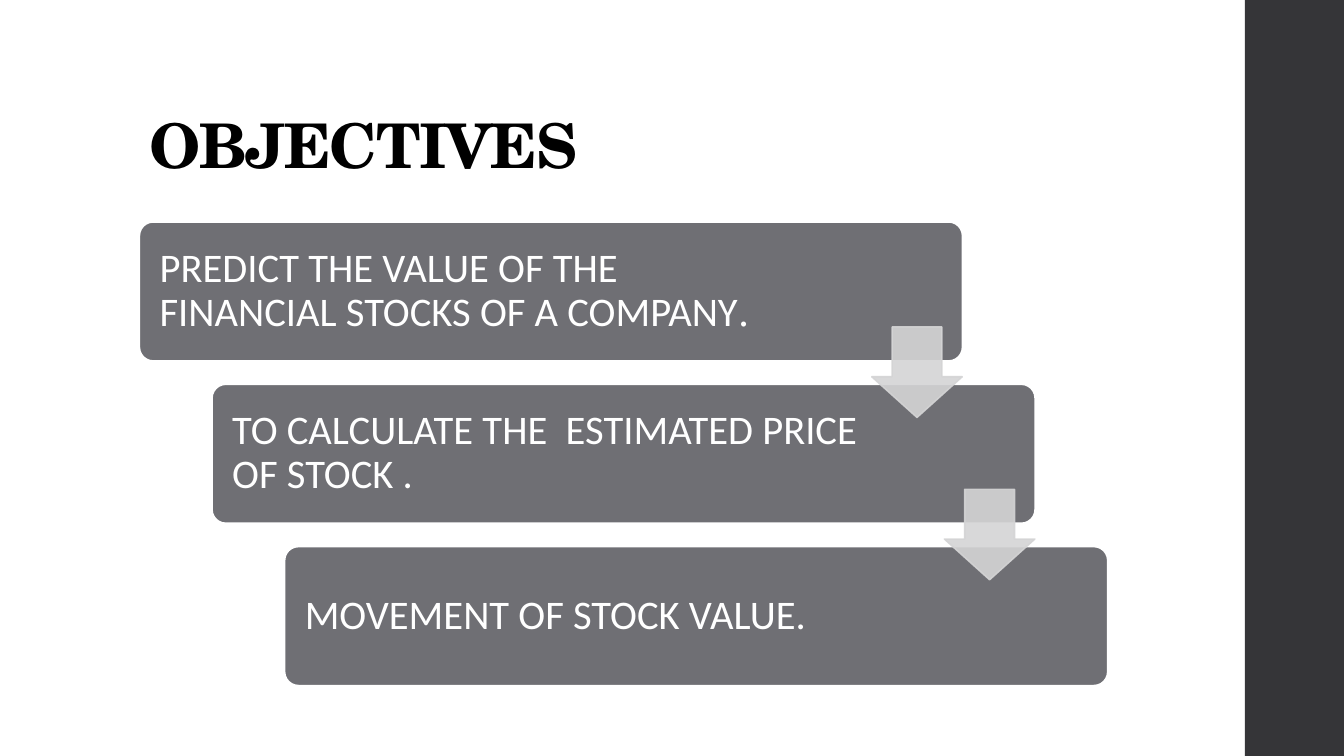
"""Build the objectives slide: three staggered steps joined by down arrows."""
from dataclasses import dataclass

from lxml import etree
from pptx import Presentation
from pptx.dml.color import RGBColor
from pptx.enum.shapes import MSO_SHAPE
from pptx.enum.text import MSO_ANCHOR, MSO_AUTO_SIZE, PP_ALIGN
from pptx.oxml.ns import qn
from pptx.util import Cm, Pt

RECT, ROUNDED, DOWN = MSO_SHAPE.RECTANGLE, MSO_SHAPE.ROUNDED_RECTANGLE, MSO_SHAPE.DOWN_ARROW
LEFT, MIDDLE, BOTTOM = PP_ALIGN.LEFT, MSO_ANCHOR.MIDDLE, MSO_ANCHOR.BOTTOM
NO_FIT = MSO_AUTO_SIZE.NONE


@dataclass(frozen=True)
class Theme:
    white: RGBColor = RGBColor.from_string("FFFFFF")
    black: RGBColor = RGBColor.from_string("000000")
    band: RGBColor = RGBColor.from_string("353538")
    step: RGBColor = RGBColor.from_string("6F6F74")
    arrow: RGBColor = RGBColor.from_string("D4D4D5")
    heading: str = "TeX Gyre Schola"
    body: str = "Calibri"
    title_size: Pt = Pt(44)
    body_size: Pt = Pt(29)


T = Theme()


def add_box(kind, left, top, width, height, fill, line=None, line_width=0):
    sp = s.shapes.add_shape(kind, Cm(left), Cm(top), Cm(width), Cm(height))
    sp.shadow.inherit = False
    sp.fill.solid()
    sp.fill.fore_color.rgb = fill
    if line is None:
        sp.line.fill.background()
    else:
        sp.line.color.rgb = line
        sp.line.width = Pt(line_width)
    return sp


def add_run(p, text, font, size, color):
    r = p.add_run()
    r.text = text
    r.font.name, r.font.size, r.font.color.rgb = font, size, color
    return r


prs = Presentation()
prs.slide_width, prs.slide_height = Cm(33.87), Cm(19.05)
s = prs.slides.add_slide(prs.slide_layouts[5])

add_box(RECT, 31.37, 0, 2.5, 19.05, T.band)

title = s.shapes.title
title.left, title.top, title.width, title.height = Cm(3.63), Cm(1.02), Cm(27.13), Cm(3.68)
tf = title.text_frame
tf.auto_size, tf.word_wrap, tf.vertical_anchor = NO_FIT, True, BOTTOM
tf.margin_left = tf.margin_right = tf.margin_top = tf.margin_bottom = Cm(0.13)
p = tf.paragraphs[0]
p.alignment, p.line_spacing = LEFT, 0.9
r = add_run(p, "OBJECTIVES", T.heading, T.title_size, T.black)
r.font.bold = True
r.font._element.set("spc", "-100")

steps = [
    [("PREDICT THE VALUE OF THE FINANCIAL STOCKS OF A COMPANY", T.body), (".", T.heading)],
    [("TO CALCULATE THE  ESTIMATED PRICE OF STOCK .", T.body)],
    [("MOVEMENT OF STOCK VALUE.", T.body)],
]
STEP_X, STEP_Y = 1.83, 4.09

for i, runs in enumerate(steps):
    sp = add_box(ROUNDED, 3.51 + i * STEP_X, 5.59 + i * STEP_Y, 20.75, 3.51, T.step, T.white, 1.35)
    sp.adjustments[0] = 0.1
    tf = sp.text_frame
    tf.word_wrap, tf.vertical_anchor = True, MIDDLE
    tf.margin_left, tf.margin_right = Cm(0.41), Cm(3.95)
    tf.margin_top = tf.margin_bottom = Cm(0.3)
    p = tf.paragraphs[0]
    p.alignment, p.line_spacing = LEFT, 0.9
    for text, font in runs:
        add_run(p, text, font, T.body_size, T.white)

for i in range(len(steps) - 1):
    arrow = add_box(DOWN, 21.97 + i * STEP_X, 8.24 + i * STEP_Y, 2.28, 2.28, T.arrow, T.arrow, 1.1)
    arrow.adjustments[0], arrow.adjustments[1] = 0.55, 0.45
    for color in arrow._element.spPr.iter(qn("a:srgbClr")):
        etree.SubElement(color, qn("a:alpha")).set("val", "90000")

prs.save("out.pptx")
